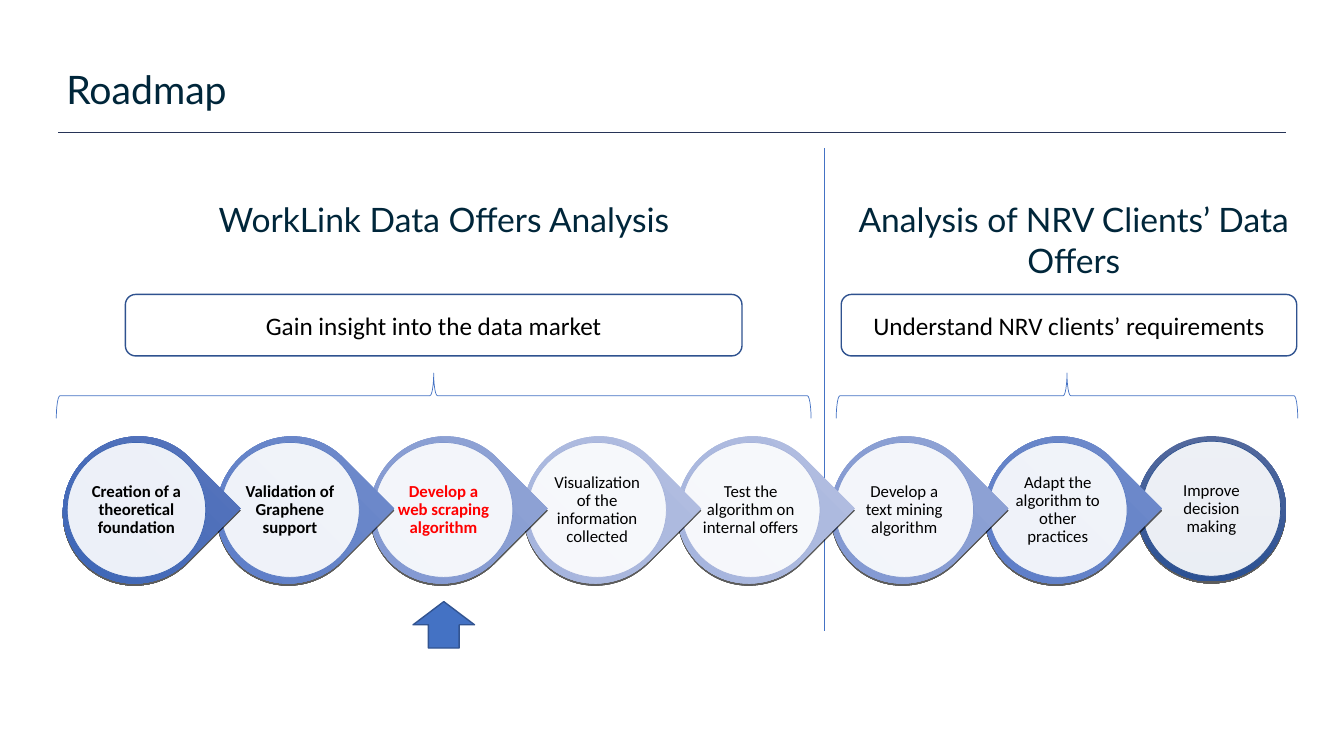
"""Build the Roadmap slide: two analysis phases over a chain of eight steps."""
from lxml.etree import SubElement
from pptx import Presentation
from pptx.dml.color import RGBColor
from pptx.enum.shapes import MSO_CONNECTOR, MSO_SHAPE as SHAPE
from pptx.enum.text import MSO_ANCHOR as ANCHOR, MSO_AUTO_SIZE, PP_ALIGN as ALIGN
from pptx.oxml import parse_xml
from pptx.oxml.ns import nsdecls, qn
from pptx.util import Cm, Pt


def rgb(code):
    return RGBColor.from_string(code)


def write(frame, words, font, size, color, align=ALIGN.CENTER, bold=False):
    frame.word_wrap = True
    paragraph = frame.paragraphs[0]
    paragraph.alignment = align
    run = paragraph.add_run()
    run.text = words
    run.font.name, run.font.size, run.font.bold = font, Pt(size), bold
    run.font.color.rgb = rgb(color)
    return paragraph


NAVY, BLUE, EDGE = "00263A", "4472C4", "2F528F"
SHADOW = (f'<a:effectLst {nsdecls("a")}><a:outerShdw dist="19050" dir="5400000" '
          'algn="ctr" rotWithShape="0"><a:srgbClr val="000000"><a:alpha val="63000"/>'
          '</a:srgbClr></a:outerShdw></a:effectLst>')

deck = Presentation()
deck.slide_width, deck.slide_height = Cm(33.87), Cm(19.05)
slide = deck.slides.add_slide(deck.slide_layouts[5])
shapes = slide.shapes

for x1, y1, x2, y2, color in [(1.47, 3.34, 32.41, 3.34, "273457"),
                              (20.78, 3.74, 20.78, 15.9, BLUE)]:
    rule = shapes.add_connector(MSO_CONNECTOR.STRAIGHT, Cm(x1), Cm(y1), Cm(x2), Cm(y2))
    rule.line.color.rgb = rgb(color)
    rule.line.width = Pt(0.5)
    SubElement(rule._element.spPr, qn("a:effectLst"))

DARK = ("5B77BC", "3863B7", "3E65B1")
MEDIUM = ("728CCA", "587BC8", "5D7DC3")
SOFT = ("91A4D4", "7F96D2", "8298CE")
PALE = ("B2BEE0", "A4B3DD", "A7B4DB")
FINAL = ("53699D", "2B5194", EDGE)
steps = [
    ("Creation of a theoretical foundation", DARK, "000000", True),
    ("Validation of Graphene support", MEDIUM, "000000", True),
    ("Develop a web scraping algorithm", SOFT, "FF0000", True),
    ("Visualization of the information collected", PALE, "000000", False),
    ("Test the algorithm on internal offers", PALE, "000000", False),
    ("Develop a text mining algorithm", SOFT, "000000", False),
    ("Adapt the algorithm to other practices", MEDIUM, "000000", False),
    ("Improve decision making", FINAL, "000000", False),
]
FIRST_X, STEP_GAP, STEP_Y = 3.44, 3.87, 12.85
DISC_W, DISC_H = 3.49, 3.4

for index, (words, (top, bottom, rim), color, bold) in reversed(list(enumerate(steps))):
    x = FIRST_X + index * STEP_GAP
    last = index == len(steps) - 1
    y = STEP_Y - 0.03 if last else STEP_Y
    kind, width, height = (SHAPE.OVAL, 3.76, 3.66) if last else (SHAPE.TEAR, 3.66, 3.76)
    drop = shapes.add_shape(kind, Cm(x - width / 2), Cm(y - height / 2), Cm(width), Cm(height))
    drop.rotation = 0 if last else 45
    drop.fill.gradient()
    drop.fill.gradient_angle = 270
    for stop, shade, position in zip(drop.fill.gradient_stops, (top, bottom), (0, 1)):
        stop.color.rgb = rgb(shade)
        stop.position = position
    drop.line.fill.background()
    drop._element.spPr.append(parse_xml(SHADOW))

    disc = shapes.add_shape(SHAPE.OVAL, Cm(x - DISC_W / 2), Cm(y - DISC_H / 2),
                            Cm(DISC_W), Cm(DISC_H))
    disc.shadow.inherit = False
    disc.fill.solid()
    disc.fill.fore_color.rgb = rgb("FFFFFF")
    white = disc._element.spPr.find(qn("a:solidFill")).find(qn("a:srgbClr"))
    SubElement(white, qn("a:alpha"), val="90000")
    disc.line.color.rgb = rgb(rim)
    disc.line.width = Pt(0.5)
    label = disc.text_frame
    label.margin_left = label.margin_right = label.margin_top = label.margin_bottom = 0
    label.vertical_anchor = ANCHOR.MIDDLE
    paragraph = write(label, words, "Calibri", 12, color, bold=bold)
    paragraph.line_spacing = 0.9
    paragraph.space_after = Pt(6)

title = shapes.title
title.left, title.top, title.width, title.height = Cm(1.42), Cm(0.53), Cm(30.99), Cm(2.41)
heading = title.text_frame
heading.auto_size = MSO_AUTO_SIZE.NONE
heading.vertical_anchor = ANCHOR.BOTTOM
heading.margin_left = heading.margin_right = Cm(0.25)
heading.margin_top = heading.margin_bottom = Cm(0.1)
write(heading, "Roadmap", "Lato", 28, NAVY, ALIGN.LEFT)

BRACE_Y, BRACE_DEPTH = 9.97, 1.14
phases = [
    ("WorkLink Data Offers Analysis", 4.98, 1.27,
     "Gain insight into the data market", 3.16, 15.54, 10.93, 19.02),
    ("Analysis of NRV Clients’ Data Offers", 20.85, 2.31,
     "Understand NRV clients’ requirements", 21.2, 11.48, 26.89, 11.63),
]
for name, name_x, name_h, goal, goal_x, goal_w, brace_x, span in phases:
    brace = shapes.add_shape(SHAPE.RIGHT_BRACE, Cm(brace_x - BRACE_DEPTH / 2),
                             Cm(BRACE_Y - span / 2), Cm(BRACE_DEPTH), Cm(span))
    brace.rotation = 270
    goal_box = shapes.add_shape(SHAPE.ROUNDED_RECTANGLE, Cm(goal_x), Cm(7.42),
                                Cm(goal_w), Cm(1.55))
    for outline, color, weight in [(brace, BLUE, 0.5), (goal_box, EDGE, 1)]:
        outline.shadow.inherit = False
        outline.fill.background()
        outline.line.color.rgb = rgb(color)
        outline.line.width = Pt(weight)
    goal_box.text_frame.vertical_anchor = ANCHOR.MIDDLE
    write(goal_box.text_frame, goal, "Calibri", 18, "000000")
    phase = shapes.add_textbox(Cm(name_x), Cm(4.9), Cm(12.42), Cm(name_h))
    write(phase.text_frame, name, "Lato", 24, NAVY)

current = shapes.add_shape(SHAPE.UP_ARROW, Cm(10.41), Cm(15.16), Cm(1.55), Cm(1.17))
current.shadow.inherit = False
current.fill.solid()
current.fill.fore_color.rgb = rgb(BLUE)
current.line.color.rgb = rgb("325491")
current.line.width = Pt(1)

deck.save("out.pptx")
